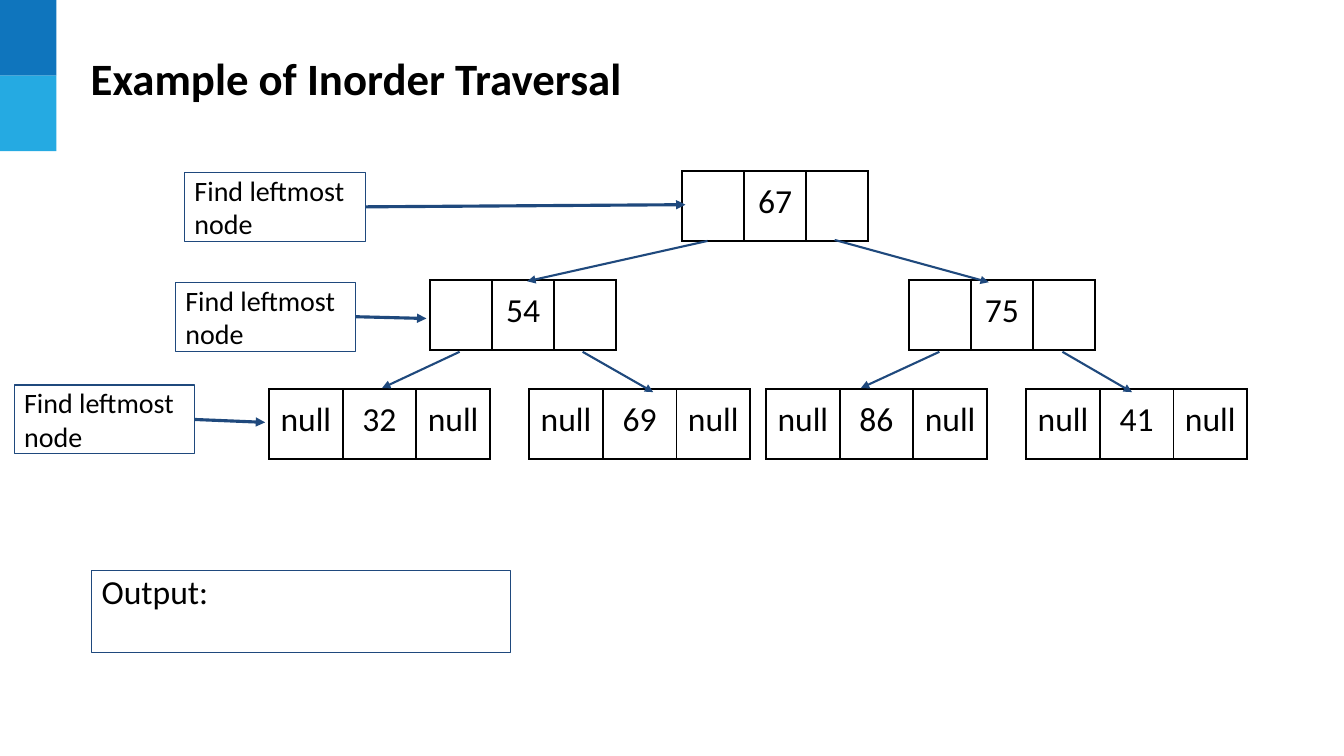
import dataclasses
import typing

import pptx
import pptx.dml.color
import pptx.enum.shapes
import pptx.enum.text
import pptx.oxml
import pptx.oxml.ns
import pptx.util

Pt = pptx.util.Pt
Point = tuple[float, float]
ANCHOR = pptx.enum.text.MSO_ANCHOR
ALIGN = pptx.enum.text.PP_ALIGN


@dataclasses.dataclass(frozen=True)
class Theme:
    font: str = "Calibri"
    ink: str = "000000"
    paper: str = "FFFFFF"
    line: str = "1F497D"
    dark: str = "0F75BD"
    light: str = "25AAE2"
    title: float = 32
    text: float = 24
    note: float = 20
    inset: float = 7.2
    thin: float = 0.75
    branch: float = 1.5
    thick: float = 2.25


@dataclasses.dataclass(frozen=True)
class Node:
    left: float
    level: int
    value: str
    leaf: bool = False


@dataclasses.dataclass(frozen=True)
class Arrow:
    start: Point
    end: Point


@dataclasses.dataclass(frozen=True)
class Note:
    left: float
    top: float
    tip: Point


THEME = Theme()
ROOT_TOP, LEVEL_STEP, ROW = 122.4, 77.8, 49.7
NODE_CELL, LEAF_CELL = 44.2, 52.6
NOTE_WIDTH, NOTE_HEIGHT = 129, 49.3
NOTE_TEXT = "Find leftmost node"

NODES = [
    Node(487.4, 0, "67"),
    Node(307.4, 1, "54"),
    Node(649.4, 1, "75"),
    Node(192.2, 2, "32", True),
    Node(378, 2, "69", True),
    Node(547.2, 2, "86", True),
    Node(733, 2, "41", True),
]
ARROWS = [
    Arrow((505.4, 172.1), (376.6, 200.9)),
    Arrow((596.2, 171.4), (706.3, 201.6)),
    Arrow((328.3, 251.3), (272.9, 277.2)),
    Arrow((416.2, 251.3), (466.6, 280.1)),
    Arrow((671, 251.3), (614.9, 277.2)),
    Arrow((758.9, 251.3), (808.6, 280.1)),
]
NOTES = [
    Note(131.8, 123.1, (489.6, 146.2)),
    Note(125.3, 201.6, (304.6, 227.5)),
    Note(10.1, 275, (189.4, 301.7)),
]


def tint(code: str) -> pptx.dml.color.RGBColor:
    return pptx.dml.color.RGBColor.from_string(code)


def style(frame: typing.Any, size: float, align: typing.Any, bold: bool = False) -> None:
    for para in frame.paragraphs:
        para.alignment = align
        for run in para.runs:
            run.font.name = THEME.font
            run.font.size = Pt(size)
            run.font.bold = bold
            run.font.color.rgb = tint(THEME.ink)


def add_rect(slide: typing.Any, left: float, top: float, width: float,
             height: float, fill: str) -> typing.Any:
    rect = slide.shapes.add_shape(pptx.enum.shapes.MSO_SHAPE.RECTANGLE,
                                  Pt(left), Pt(top), Pt(width), Pt(height))
    rect.shadow.inherit = False
    rect.fill.solid()
    rect.fill.fore_color.rgb = tint(fill)
    rect.line.fill.background()
    return rect


def add_box(slide: typing.Any, left: float, top: float, width: float,
            height: float, text: str, size: float, anchor: typing.Any) -> None:
    box = add_rect(slide, left, top, width, height, THEME.paper)
    box.line.color.rgb = tint(THEME.line)
    box.line.width = Pt(THEME.thin)
    frame = box.text_frame
    frame.word_wrap = True
    frame.vertical_anchor = anchor
    frame.margin_left = frame.margin_right = Pt(THEME.inset)
    frame.margin_top = frame.margin_bottom = Pt(0)
    frame.text = text
    style(frame, size, ALIGN.LEFT)


def add_arrow(slide: typing.Any, arrow: Arrow, width: float) -> None:
    link = slide.shapes.add_connector(
        pptx.enum.shapes.MSO_CONNECTOR.STRAIGHT,
        *(Pt(value) for value in arrow.start + arrow.end))
    link.line.color.rgb = tint(THEME.line)
    link.line.width = Pt(width)
    pptx.oxml.ns.qn("a:ln")
    tail = pptx.oxml.parse_xml(
        f'<a:tailEnd {pptx.oxml.ns.nsdecls("a")} type="triangle"/>')
    link.line._get_or_add_ln().append(tail)
    link._element.spPr.append(pptx.oxml.parse_xml(
        f'<a:effectLst {pptx.oxml.ns.nsdecls("a")}/>'))


def add_edges(cell: typing.Any) -> None:
    props = cell._tc.get_or_add_tcPr()
    for index, side in enumerate("LRTB"):
        props.insert(index, pptx.oxml.parse_xml(
            f'<a:ln{side} {pptx.oxml.ns.nsdecls("a")} w="{Pt(THEME.branch)}">'
            f'<a:solidFill><a:srgbClr val="{THEME.ink}"/></a:solidFill>'
            f'</a:ln{side}>'))


def add_node(slide: typing.Any, node: Node) -> None:
    width = LEAF_CELL if node.leaf else NODE_CELL
    side = "null" if node.leaf else ""
    top = ROOT_TOP + node.level * LEVEL_STEP
    table = slide.shapes.add_table(1, 3, Pt(node.left), Pt(top),
                                   Pt(3 * width), Pt(ROW)).table
    table.first_row = table.horz_banding = False
    for cell, text in zip(table.iter_cells(), (side, node.value, side)):
        cell.fill.background()
        cell.margin_left = cell.margin_right = Pt(THEME.inset)
        cell.margin_top = cell.margin_bottom = Pt(THEME.inset)
        cell.text_frame.text = text
        style(cell.text_frame, THEME.text, ALIGN.CENTER)
        add_edges(cell)


def add_title(slide: typing.Any, text: str) -> None:
    title = slide.shapes.title
    title.left, title.top = Pt(57.6), Pt(32.4)
    title.width, title.height = Pt(860.4), Pt(46.1)
    frame = title.text_frame
    frame.text = text
    frame.word_wrap = True
    frame.auto_size = pptx.enum.text.MSO_AUTO_SIZE.NONE
    frame.vertical_anchor = ANCHOR.MIDDLE
    frame.margin_left = frame.margin_right = Pt(THEME.inset)
    frame.margin_top = frame.margin_bottom = Pt(THEME.inset / 2)
    style(frame, THEME.title, ALIGN.LEFT, True)


def main() -> None:
    deck = pptx.Presentation()
    deck.slide_width, deck.slide_height = Pt(960), Pt(540)
    slide = deck.slides.add_slide(deck.slide_layouts[5])
    for index, fill in enumerate((THEME.dark, THEME.light)):
        add_rect(slide, 0, 54 * index, 40.3, 54, fill)
    add_title(slide, "Example of Inorder Traversal")
    for node in NODES:
        add_node(slide, node)
    for arrow in ARROWS:
        add_arrow(slide, arrow, THEME.branch)
    for note in NOTES:
        add_box(slide, note.left, note.top, NOTE_WIDTH, NOTE_HEIGHT,
                NOTE_TEXT, THEME.note, ANCHOR.MIDDLE)
        start = (note.left + NOTE_WIDTH, note.top + NOTE_HEIGHT / 2)
        add_arrow(slide, Arrow(start, note.tip), THEME.thick)
    add_box(slide, 65.5, 407.5, 299.5, 58.3, "Output:", THEME.text, ANCHOR.TOP)
    deck.save("out.pptx")


if __name__ == "__main__":
    main()
